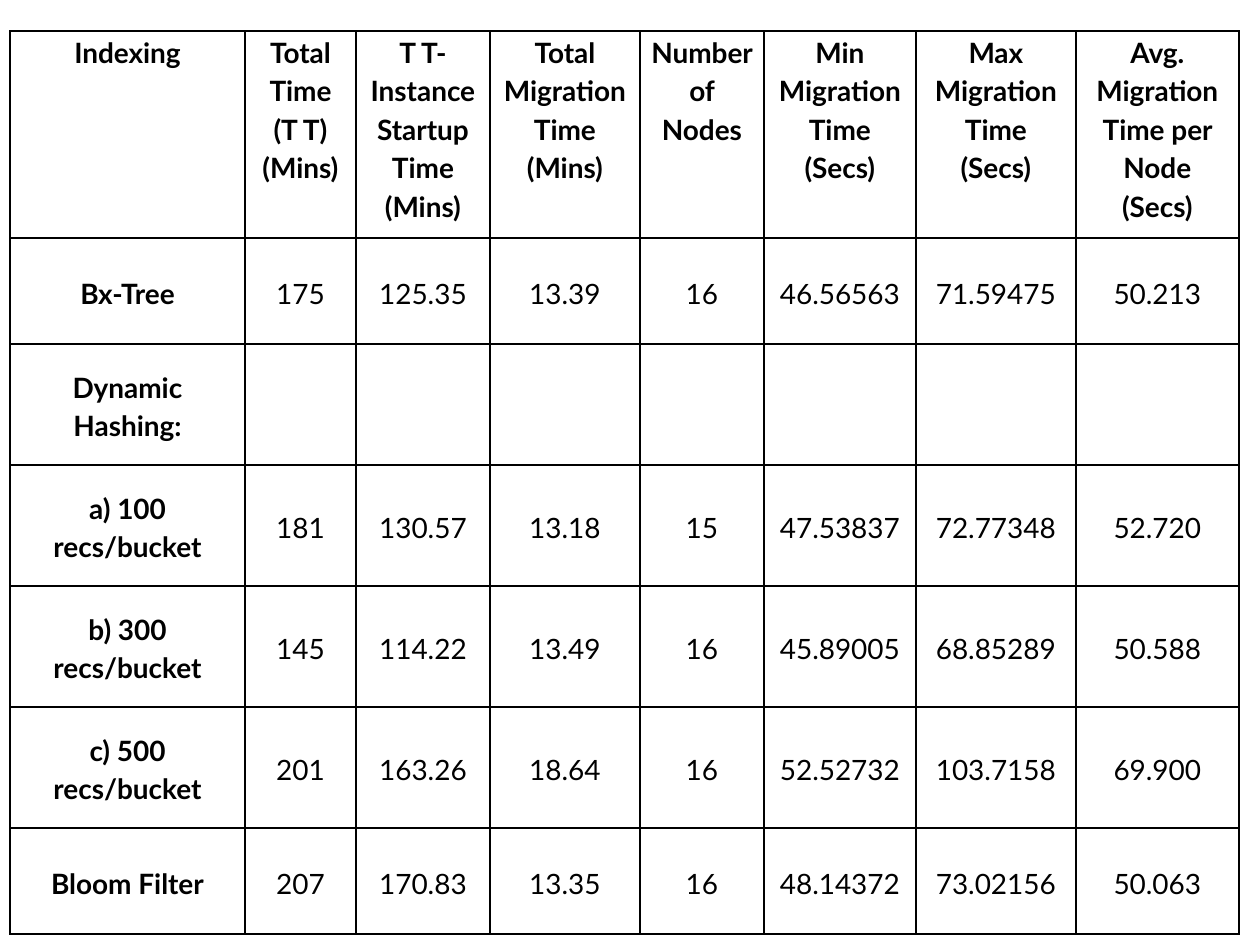
from lxml.etree import SubElement
from pptx import Presentation
from pptx.dml.color import RGBColor as RGB
from pptx.enum.text import MSO_ANCHOR as ANCHOR, PP_ALIGN as ALIGN
from pptx.oxml.ns import qn
from pptx.util import Emu, Pt

EMU_PER_PX = 914400 / 126
COLORS = {"text": "000000", "border": "000000"}

COL_WIDTHS = [235, 111, 134, 150, 124, 152, 160, 163]
ROW_HEIGHTS = [207, 106, 121, 121, 121, 121, 106]
ROWS = [
    ["Indexing", "Total Time\n(T T)\n(Mins)", "T T-Instance Startup Time\n(Mins)",
     "Total Migration Time\n(Mins)", "Number of Nodes", "Min Migration Time\n(Secs)",
     "Max Migration Time\n(Secs)", "Avg. Migration Time per Node\n(Secs)"],
    ["Bx-Tree", "175", "125.35", "13.39", "16", "46.56563", "71.59475", "50.213"],
    ["Dynamic Hashing:"] + [""] * 7,
    ["a) 100 recs/bucket", "181", "130.57", "13.18", "15", "47.53837", "72.77348", "52.720"],
    ["b) 300 recs/bucket", "145", "114.22", "13.49", "16", "45.89005", "68.85289", "50.588"],
    ["c) 500 recs/bucket", "201", "163.26", "18.64", "16", "52.52732", "103.7158", "69.900"],
    ["Bloom Filter", "207", "170.83", "13.35", "16", "48.14372", "73.02156", "50.063"],
]


def px(n):
    """Turn pixels into EMU."""
    return Emu(round(n * EMU_PER_PX))


class SlideBuilder:
    """Holds the style and the current slide."""

    font, size, spacing, border_width = "Lato", Pt(16), 1.15, Pt(1)

    def __init__(self, prs):
        """Add a blank slide."""
        self.slide = prs.slides.add_slide(prs.slide_layouts[6])

    def table(self, x, y, widths, heights, rows):
        """Add a bordered table with bold headings in the first row and column."""
        frame = self.slide.shapes.add_table(
            len(heights), len(widths), px(x), px(y), px(sum(widths)), px(sum(heights)))
        table = frame.table
        table.first_row = table.horz_banding = False
        for col, width in zip(table.columns, widths):
            col.width = px(width)
        for row, height in zip(table.rows, heights):
            row.height = px(height)
        for i, row in enumerate(rows):
            for j, text in enumerate(row):
                self.cell(table.cell(i, j), text, i == 0 or j == 0,
                          ANCHOR.TOP if i == 0 else ANCHOR.MIDDLE)

    def cell(self, cell, text, bold, anchor):
        """Fill and format one table cell."""
        self.borders(cell)
        cell.fill.background()
        cell.margin_left = cell.margin_right = px(9)
        cell.margin_top = cell.margin_bottom = 0
        cell.vertical_anchor = anchor
        cell.text_frame.text = text
        for p in cell.text_frame.paragraphs:
            p.alignment, p.line_spacing = ALIGN.CENTER, self.spacing
            p.font.name, p.font.size, p.font.bold = self.font, self.size, bold
            p.font.color.rgb = RGB.from_string(COLORS["text"])

    def borders(self, cell):
        """Draw all four borders of a cell."""
        props = cell._tc.get_or_add_tcPr()
        for side in ("lnL", "lnR", "lnT", "lnB"):
            line = SubElement(props, qn("a:" + side), w=str(self.border_width))
            fill = SubElement(line, qn("a:solidFill"))
            SubElement(fill, qn("a:srgbClr"), val=COLORS["border"])


prs = Presentation()
prs.slide_width, prs.slide_height = px(1260), px(945)
SlideBuilder(prs).table(10, 31, COL_WIDTHS, ROW_HEIGHTS, ROWS)
prs.save("out.pptx")
